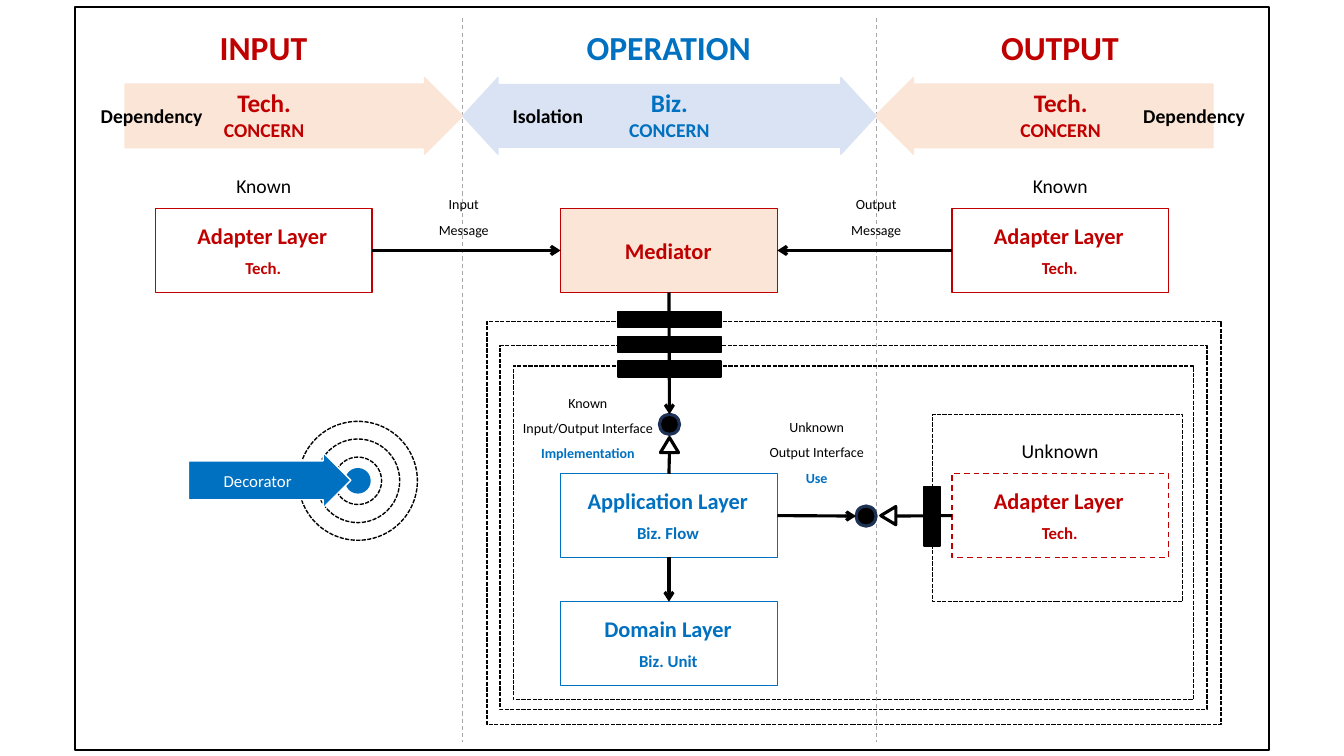
from lxml.etree import SubElement
from pptx import Presentation
from pptx.dml.color import RGBColor
from pptx.enum.dml import MSO_LINE
from pptx.enum.shapes import MSO_CONNECTOR, MSO_SHAPE as SHAPE
from pptx.enum.text import MSO_AUTO_SIZE, PP_ALIGN
from pptx.oxml.ns import qn
from pptx.util import Inches, Pt

BLACK = RGBColor(0x00, 0x00, 0x00)
WHITE = RGBColor(0xFF, 0xFF, 0xFF)
RED = RGBColor(0xC0, 0x00, 0x00)
BLUE = RGBColor(0x00, 0x70, 0xC0)
NAVY = RGBColor(0x1E, 0x32, 0x56)
GRAY = RGBColor(0xA6, 0xA6, 0xA6)
PEACH = RGBColor(0xFB, 0xE5, 0xD6)
PALE_BLUE = RGBColor(0xDA, 0xE3, 0xF3)
DOTS = MSO_LINE.SQUARE_DOT
DASH = MSO_LINE.DASH
TOP, LEFT, BOTTOM, RIGHT = range(4)


class Diagram:
    """Draws the styled elements of the layer diagram on one slide."""

    font = "Calibri"

    def __init__(self, s):
        self.s = s

    def shape(self, kind, x, y, w, h, fill=None, line=BLACK, width=1,
              dash=None, rotation=0, adjust=()):
        sp = self.s.shapes.add_shape(kind, Inches(x), Inches(y), Inches(w), Inches(h))
        sp.shadow.inherit = False
        sp.rotation = rotation
        for i, value in enumerate(adjust):
            sp.adjustments[i] = value
        if fill is None:
            sp.fill.background()
        else:
            sp.fill.solid()
            sp.fill.fore_color.rgb = fill
        sp.line.color.rgb = line
        sp.line.width = Pt(width)
        if dash is not None:
            sp.line.dash_style = dash
        return sp

    def add_text(self, tf, text, size=14, color=BLACK, bold=False, align=None, spacing=None):
        p = tf.add_paragraph() if tf.text else tf.paragraphs[0]
        p.alignment = align
        p.line_spacing = spacing
        r = p.add_run()
        r.text = text
        r.font.name = self.font
        r.font.size = Pt(size)
        r.font.bold = bold
        r.font.color.rgb = color

    def label(self, cx, y, w, *lines, spacing=None):
        h = sum(fmt["size"] for _, fmt in lines) * (spacing or 1) / 60 + 0.1
        tb = self.s.shapes.add_textbox(Inches(cx - w / 2), Inches(y), Inches(w), Inches(h))
        tf = tb.text_frame
        tf.word_wrap = False
        tf.auto_size = MSO_AUTO_SIZE.SHAPE_TO_FIT_TEXT
        align = PP_ALIGN.CENTER if len(lines) > 1 else None
        for text, fmt in lines:
            self.add_text(tf, text, align=align, spacing=spacing, **fmt)

    def note(self, cx, y, w, *texts, last=None):
        lines = [(text, dict(size=10)) for text in texts]
        if last:
            lines.append((last, dict(size=10, color=BLUE, bold=True)))
        self.label(cx, y, w, *lines, spacing=1.5)

    def layer(self, x, y, title, title_w, sub=None, sub_w=0, color=RED, fill=None, dash=None):
        sp = self.shape(SHAPE.RECTANGLE, x, y, 2.15, 0.83, fill, color, dash=dash)
        cx = x + 2.15 / 2
        title_y = y + (0.08 if sub else 0.23)
        self.label(cx, title_y, title_w, (title, dict(size=16, color=color, bold=True)))
        if sub:
            self.label(cx, y + 0.44, sub_w, (sub, dict(size=12, color=color, bold=True)))
        return sp

    def line(self, x1, y1, x2, y2, color=BLACK, width=2.25, dash=None,
             arrow=False, begin=None, end=None):
        c = self.s.shapes.add_connector(MSO_CONNECTOR.STRAIGHT, Inches(x1), Inches(y1),
                                        Inches(x2), Inches(y2))
        if begin:
            c.begin_connect(*begin)
        if end:
            c.end_connect(*end)
        c.line.color.rgb = color
        c.line.width = Pt(width)
        if dash is not None:
            c.line.dash_style = dash
        props = c.element.spPr
        if arrow:
            SubElement(props.find(qn("a:ln")), qn("a:tailEnd"), type="arrow")
        SubElement(props, qn("a:effectLst"))

    def column(self, cx, title, title_w, concern, color):
        self.label(cx, 0.22, title_w, (title, dict(size=24, color=color, bold=True)))
        self.label(cx, 0.82, 1.01, (concern, dict(size=18, color=color, bold=True)),
                   ("CONCERN", dict(size=14, color=color, bold=True)))

    def port(self, x, y):
        return self.shape(SHAPE.OVAL, x, y, 0.2, 0.2, BLACK, NAVY, 2.25)

    def triangle(self, x, y, rotation=0):
        self.shape(SHAPE.ISOSCELES_TRIANGLE, x, y, 0.18, 0.15, WHITE, width=2.25,
                   rotation=rotation)


def main():
    prs = Presentation()
    prs.slide_width, prs.slide_height = Inches(13.33), Inches(7.5)
    d = Diagram(prs.slides.add_slide(prs.slide_layouts[6]))

    d.shape(SHAPE.RECTANGLE, 9.25, 4.11, 2.48, 1.86, dash=DOTS)
    d.shape(SHAPE.RECTANGLE, 8.95, 5.04, 0.59, 0.16, BLACK, rotation=270)
    d.shape(SHAPE.RECTANGLE, 0.74, 0.07, 11.85, 7.37, width=1.5)
    for x in (4.59, 8.69):
        d.line(x, 0.18, x, 7.36, GRAY, 0.75, DASH)

    adapter = ("Adapter Layer", 1.51, "Tech.", 0.56)
    source = d.layer(1.54, 2.07, *adapter)
    target = d.layer(9.44, 2.07, *adapter)
    unknown = d.layer(9.44, 4.7, *adapter, dash=DASH)
    mediator = d.layer(5.56, 2.07, "Mediator", 1.07, fill=PEACH)
    application = d.layer(5.56, 4.7, "Application Layer", 1.81, "Biz. Flow", 0.83, BLUE)
    domain = d.layer(5.56, 5.97, "Domain Layer", 1.48, "Biz. Unit", 0.79, BLUE)
    for cx, y, w, text in ((2.62, 1.68, 0.75, "Known"), (10.52, 1.68, 0.75, "Known"),
                           (10.52, 4.31, 0.97, "Unknown")):
        d.label(cx, y, w, (text, dict(size=14)))

    d.triangle(6.55, 4.34)
    d.triangle(8.72, 5.04, 270)
    d.port(8.49, 5.02)
    inner_port = d.port(6.54, 4.11)
    d.line(3.69, 2.48, 5.56, 2.48, arrow=True, begin=(source, RIGHT), end=(mediator, LEFT))
    d.line(9.44, 2.48, 7.71, 2.48, arrow=True, begin=(target, LEFT), end=(mediator, RIGHT))
    d.line(6.64, 2.9, 6.64, 4.11, arrow=True, begin=(mediator, BOTTOM), end=(inner_port, TOP))
    d.line(6.64, 5.53, 6.64, 5.97, arrow=True, begin=(application, BOTTOM), end=(domain, TOP))
    d.line(7.71, 5.12, 8.49, 5.12, arrow=True, begin=(application, RIGHT))
    d.line(6.64, 4.7, 6.64, 4.49, begin=(application, TOP))
    d.line(9.44, 5.12, 8.88, 5.12, begin=(unknown, LEFT))

    d.note(5.83, 3.78, 1.51, "Known", "Input/Output Interface", last="Implementation")
    d.note(8.1, 4.02, 1.16, "Unknown", "Output Interface", last="Use")
    d.note(4.6, 1.81, 0.7, "Input", "Message")
    d.note(8.69, 1.81, 0.7, "Output", "Message")

    for x, rotation in ((8.68, 180), (1.24, 0)):
        d.shape(SHAPE.RIGHT_ARROW, x, 0.77, 3.35, 0.76, PEACH, PEACH,
                rotation=rotation, adjust=(0.83, 0.5))
    d.shape(SHAPE.LEFT_RIGHT_ARROW, 4.59, 0.77, 4.1, 0.76, PALE_BLUE, PALE_BLUE,
            adjust=(0.82, 0.46))
    d.column(2.62, "INPUT", 1.08, "Tech.", RED)
    d.column(6.64, "OPERATION", 1.84, "Biz.", BLUE)
    d.column(10.52, "OUTPUT", 1.38, "Tech.", RED)
    for cx, w, text in ((1.51, 1.22, "Dependency"), (5.44, 0.91, "Isolation"),
                        (11.85, 1.22, "Dependency")):
        d.label(cx, 0.98, w, (text, dict(size=14, bold=True)))

    for x, y, w, h in ((5.09, 3.63, 6.75, 3.31), (4.96, 3.43, 7.01, 3.61),
                       (4.83, 3.19, 7.28, 4)):
        d.shape(SHAPE.RECTANGLE, x, y, w, h, dash=DOTS)
    for y in (3.58, 3.34, 3.09):
        d.shape(SHAPE.RECTANGLE, 6.13, y, 1.02, 0.16, BLACK)

    for size in (1.18, 0.83, 0.47):
        d.shape(SHAPE.OVAL, 3.55 - size / 2, 4.77 - size / 2, size, size, dash=DOTS)
    d.shape(SHAPE.OVAL, 3.43, 4.65, 0.24, 0.24, BLUE, BLUE)
    d.shape(SHAPE.RIGHT_ARROW, 1.87, 4.49, 1.61, 0.55, BLUE, WHITE, adjust=(0.7, 0.5))
    d.label(2.57, 4.62, 0.9, ("Decorator", dict(size=12, color=WHITE)))

    prs.save("out.pptx")


if __name__ == "__main__":
    main()
